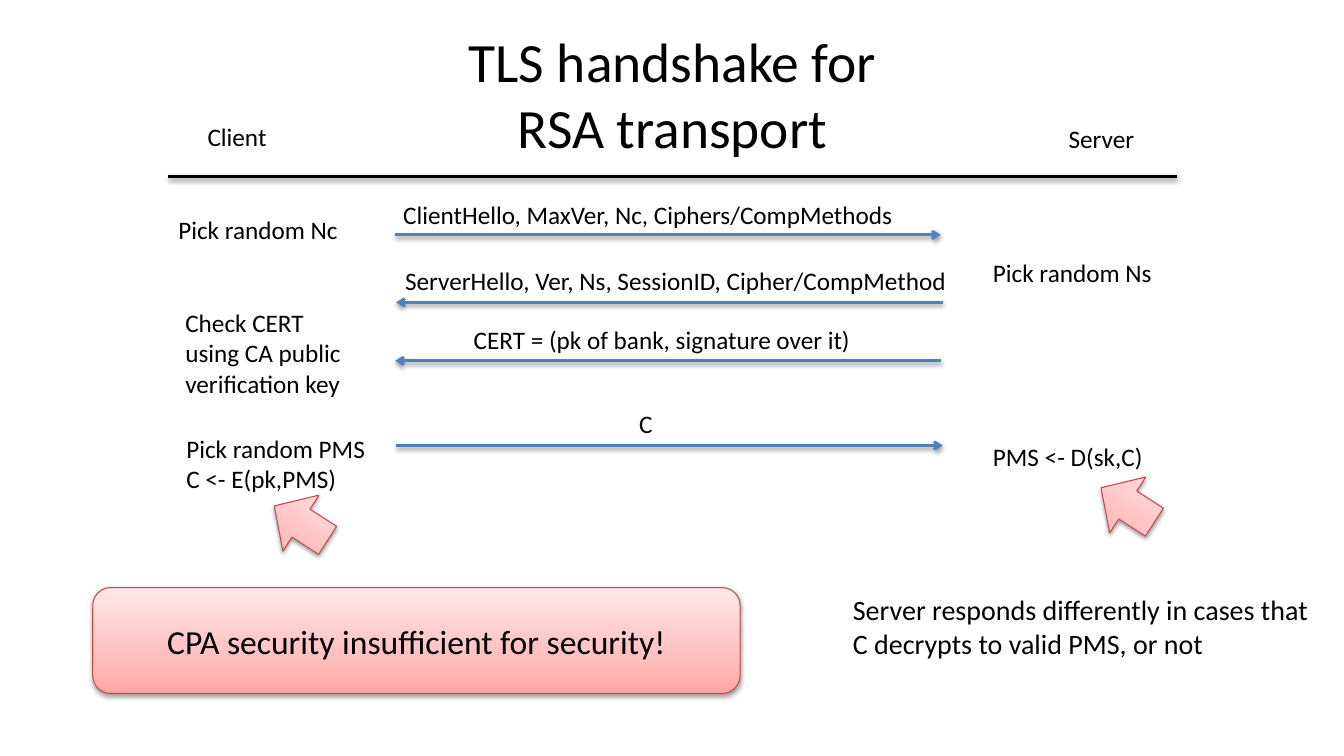
import copy

import lxml.etree
import pptx
import pptx.dml.color
import pptx.enum.shapes
import pptx.enum.text
import pptx.oxml.ns
import pptx.util
from pptx.util import Inches

COLOURS = {
    "text": "000000",
    "rule": "000000",
    "message": "4F81BD",
    "outline": "BF4C48",
    "deep": "FFA6A5",
    "middle": "FFC0BF",
    "pale": "FFE7E7",
}
rgb = {name: pptx.dml.color.RGBColor.from_string(value) for name, value in COLOURS.items()}
qn = pptx.oxml.ns.qn
SHAPES = pptx.enum.shapes.MSO_SHAPE
ALIGN = pptx.enum.text.PP_ALIGN
ANCHOR = pptx.enum.text.MSO_ANCHOR
AUTO_SIZE = pptx.enum.text.MSO_AUTO_SIZE


def write_text(shape, text, size=18, align=ALIGN.LEFT, anchor=ANCHOR.TOP, wrap=False, grow=True):
    frame = shape.text_frame
    frame.word_wrap = wrap
    frame.auto_size = AUTO_SIZE.SHAPE_TO_FIT_TEXT if grow else AUTO_SIZE.NONE
    frame.vertical_anchor = anchor
    frame.text = text
    for para in frame.paragraphs:
        para.alignment = align
        for span in para.runs:
            span.font.name = "Calibri"
            span.font.size = pptx.util.Pt(size)
            span.font.color.rgb = rgb["text"]


def add_shadow(shape):
    properties = shape._element.spPr
    effects = lxml.etree.SubElement(properties, qn("a:effectLst"))
    shadow = lxml.etree.SubElement(
        effects, qn("a:outerShdw"), blurRad="40000", dist="20000", dir="5400000", rotWithShape="0"
    )
    colour = lxml.etree.SubElement(shadow, qn("a:srgbClr"), val="000000")
    lxml.etree.SubElement(colour, qn("a:alpha"), val="38000")


deck = pptx.Presentation()
deck.slide_width = Inches(13.33)
deck.slide_height = Inches(7.5)
page = deck.slides.add_slide(deck.slide_layouts[6])

# Title
title = page.shapes.add_textbox(Inches(0.67), Inches(0.3), Inches(12), Inches(1.25))
write_text(title, "TLS handshake for\vRSA transport", size=39.6, align=ALIGN.CENTER,
           anchor=ANCHOR.MIDDLE, wrap=True, grow=False)

# Headings, steps on each side and message labels: left, top, width, height, text
labels = [
    (1.96, 1.15, 0.79, 0.4, "Client"),
    (10.5, 1.17, 0.86, 0.4, "Server"),
    (1.67, 2.08, 1.8, 0.4, "Pick random Nc"),
    (1.74, 3, 1.76, 1.01, "Check CERT\nusing CA public\nverification key"),
    (1.75, 4.25, 2, 0.71, "Pick random PMS\nC <- E(pk,PMS)"),
    (9.75, 2.5, 1.8, 0.4, "Pick random Ns"),
    (9.75, 4.33, 1.7, 0.4, "PMS <- D(sk,C)"),
    (3.9, 1.93, 5.21, 0.4, "ClientHello, MaxVer, Nc, Ciphers/CompMethods"),
    (3.92, 2.58, 5.69, 0.4, "ServerHello, Ver, Ns, SessionID, Cipher/CompMethod"),
    (4.6, 3.17, 3.98, 0.4, "CERT = (pk of bank, signature over it)"),
    (6.24, 4, 0.34, 0.4, "C"),
]
for left, top, width, height, text in labels:
    box = page.shapes.add_textbox(Inches(left), Inches(top), Inches(width), Inches(height))
    write_text(box, text)

# Heading rule and message arrows: start, end, height on the page, colour
lines = [
    (1.67, 11.67, 1.75, "rule"),
    (3.92, 9.33, 2.33, "message"),
    (9.35, 3.93, 3, "message"),
    (9.33, 3.92, 3.58, "message"),
    (3.93, 9.35, 4.42, "message"),
]
for start, end, y, colour in lines:
    line = page.shapes.add_connector(
        pptx.enum.shapes.MSO_CONNECTOR.STRAIGHT, Inches(start), Inches(y), Inches(end), Inches(y)
    )
    line.line.color.rgb = rgb[colour]
    line.line.width = pptx.util.Pt(2)
    if colour == "message":
        lxml.etree.SubElement(line.line._get_or_add_ln(), qn("a:tailEnd"), type="arrow")
    add_shadow(line)

# Pink pointers and warning box
pink_shapes = [
    (SHAPES.LEFT_ARROW, 2.67, 4.86, 0.63, 0.66, 32.8, ""),
    (SHAPES.LEFT_ARROW, 10.87, 4.68, 0.63, 0.66, 32.8, ""),
    (SHAPES.ROUNDED_RECTANGLE, 0.92, 5.83, 6.42, 1.05, 0, "CPA security insufficient for security!"),
]
for kind, left, top, width, height, turn, text in pink_shapes:
    shape = page.shapes.add_shape(kind, Inches(left), Inches(top), Inches(width), Inches(height))
    shape.rotation = turn
    shape.fill.gradient()
    shape.fill.gradient_angle = 90
    stop_list = shape._element.spPr.find(qn("a:gradFill")).find(qn("a:gsLst"))
    stop_list.insert(1, copy.deepcopy(stop_list[0]))
    for stop, (place, colour) in zip(
        shape.fill.gradient_stops, [(0, "deep"), (0.35, "middle"), (1, "pale")]
    ):
        stop.position = place
        stop.color.rgb = rgb[colour]
    shape.line.color.rgb = rgb["outline"]
    shape.line.width = pptx.util.Pt(0.75)
    add_shadow(shape)
    if text:
        write_text(shape, text, size=24, align=ALIGN.CENTER, anchor=ANCHOR.MIDDLE,
                   wrap=True, grow=False)

# Remark on the server
remark = page.shapes.add_textbox(Inches(8.36), Inches(5.83), Inches(4.72), Inches(0.77))
write_text(remark, "Server responds differently in cases that C decrypts to valid PMS, or not",
           size=20, wrap=True)

deck.save("out.pptx")
